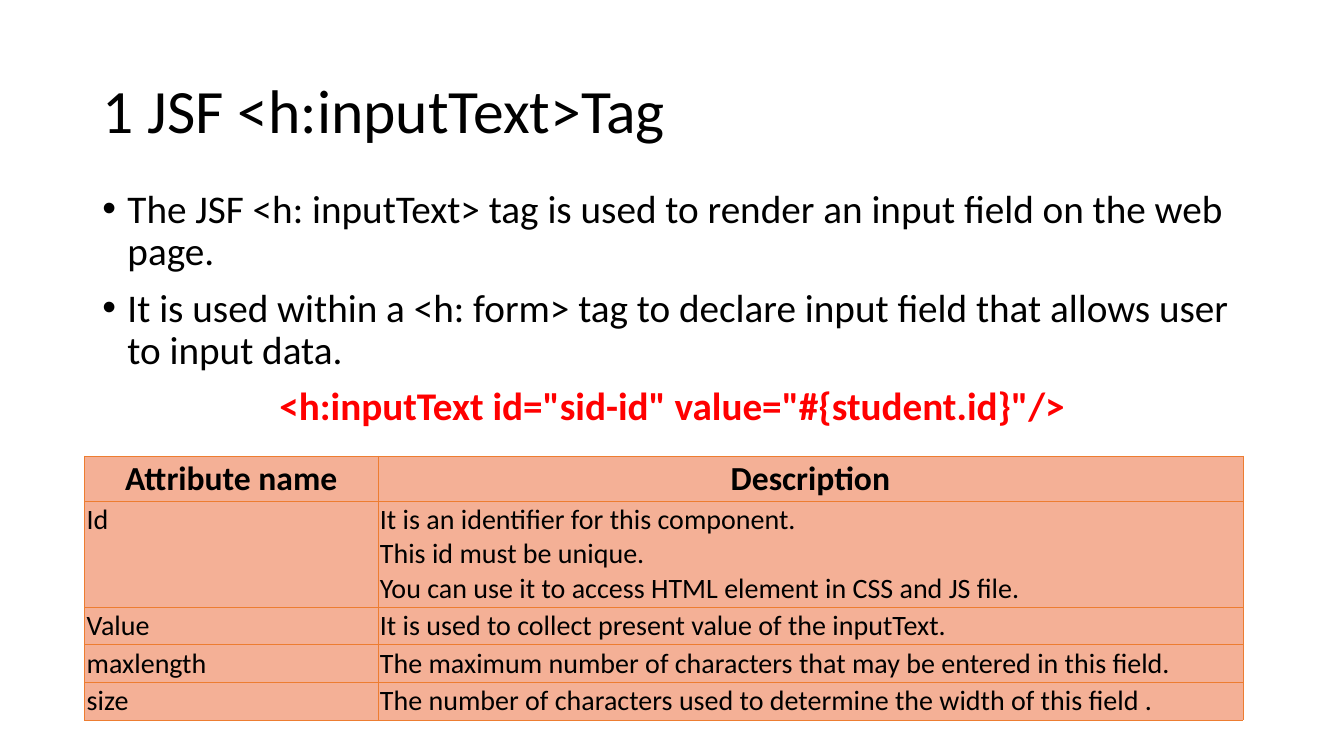
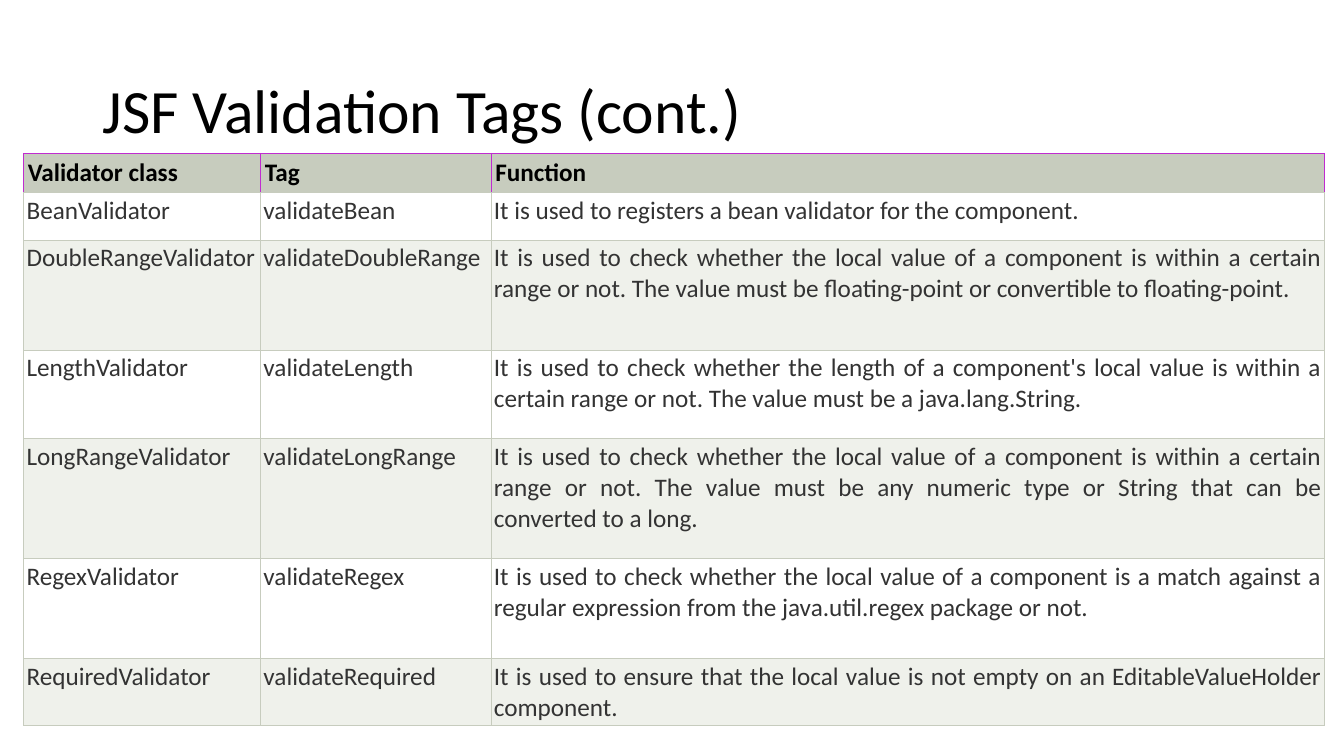
"""Build two slides on JSF input and validation tags."""
from lxml.etree import SubElement
from pptx import Presentation
from pptx.dml.color import RGBColor
from pptx.enum.text import MSO_ANCHOR, MSO_AUTO_SIZE, PP_ALIGN
from pptx.oxml.ns import qn
from pptx.util import Pt

FONT = "Calibri"
BLACK = RGBColor(0x00, 0x00, 0x00)
RED = RGBColor(0xFF, 0x00, 0x00)
CHARCOAL = RGBColor(0x33, 0x33, 0x33)
WHITE = RGBColor(0xFF, 0xFF, 0xFF)
ORANGE = RGBColor(0xED, 0x7D, 0x31)
SALMON = RGBColor(0xF4, 0xB0, 0x96)
SAGE = RGBColor(0xC7, 0xCC, 0xBE)
PALE_SAGE = RGBColor(0xEF, 0xF1, 0xEB)
MAGENTA = RGBColor(0xC0, 0x2B, 0xD0)

INPUT_TITLE = "1 JSF <h:inputText>Tag"
INPUT_POINTS = [
    "The JSF <h: inputText> tag is used to render an input field on the web page.",
    "It is used within a <h: form> tag to declare input field that allows user to input data.",
]
INPUT_EXAMPLE = '<h:inputText id="sid-id" value="#{student.id}"/>'
ATTRIBUTES = [
    ("Attribute name", "Description"),
    ("Id", "It is an identifier for this component.\nThis id must be unique.\n"
           "You can use it to access HTML element in CSS and JS file."),
    ("Value", "It is used to collect present value of the inputText."),
    ("maxlength", "The maximum number of characters that may be entered in this field."),
    ("size", "The number of characters used to determine the width of this field ."),
]

VALIDATION_TITLE = "JSF Validation Tags (cont.)"
RANGE_CHECK = ("It is used to check whether the local value of a component "
               "is within a certain range or not. ")
VALIDATORS = [
    ("Validator class", "Tag", "Function"),
    ("BeanValidator", "validateBean",
     "It is used to registers a bean validator for the component."),
    ("DoubleRangeValidator", "validateDoubleRange",
     RANGE_CHECK + "The value must be floating-point or convertible to floating-point."),
    ("LengthValidator", "validateLength",
     "It is used to check whether the length of a component's local value is within "
     "a certain range or not. The value must be a java.lang.String."),
    ("LongRangeValidator", "validateLongRange",
     RANGE_CHECK + "The value must be any numeric type or String that can be converted to a long."),
    ("RegexValidator", "validateRegex",
     "It is used to check whether the local value of a component is a match against "
     "a regular expression from the java.util.regex package or not."),
    ("RequiredValidator", "validateRequired",
     "It is used to ensure that the local value is not empty on an "
     "EditableValueHolder component."),
]

ATTRIBUTE_STYLE = dict(
    left=60.5, top=325.8, widths=[209.5, 617.8], heights=[32, 75.8, 26.7, 26.7, 26.7],
    head=dict(size=24, color=BLACK, align=PP_ALIGN.CENTER, inset=1.44,
              borders=[ORANGE] * 4),
    body=dict(size=20, color=BLACK, align=PP_ALIGN.JUSTIFY, inset=1.44,
              borders=[ORANGE] * 4),
    head_fill=SALMON, body_fills=[SALMON], line=0.5)
VALIDATOR_STYLE = dict(
    left=17, top=109.6, widths=[169.2, 164.6, 595.4],
    heights=[25.2, 34, 78.5, 63.5, 85.7, 71.3, 42.5],
    head=dict(size=18, color=BLACK, align=PP_ALIGN.LEFT, inset=3,
              borders=[MAGENTA, MAGENTA, MAGENTA, SAGE]),
    body=dict(size=18, color=CHARCOAL, align=PP_ALIGN.JUSTIFY, inset=2,
              borders=[SAGE] * 4),
    head_fill=SAGE, body_fills=[WHITE, PALE_SAGE], line=0.75)


def style_paragraph(paragraph, size, color, align, bold=False):
    paragraph.alignment = align
    for run in paragraph.runs:
        run.font.name = FONT
        run.font.size = Pt(size)
        run.font.bold = bold
        run.font.color.rgb = color


def add_titled_slide(deck, heading):
    slide = deck.slides.add_slide(deck.slide_layouts[5])
    title = slide.shapes.title
    title.left, title.top, title.width, title.height = Pt(66), Pt(28.8), Pt(828), Pt(104.4)
    frame = title.text_frame
    frame.text = heading
    frame.word_wrap = True
    frame.auto_size = MSO_AUTO_SIZE.NONE
    frame.vertical_anchor = MSO_ANCHOR.MIDDLE
    frame.paragraphs[0].line_spacing = 0.9
    style_paragraph(frame.paragraphs[0], 44, BLACK, PP_ALIGN.LEFT)
    return slide


def add_bullet(paragraph):
    properties = paragraph._p.get_or_add_pPr()
    properties.set("marL", str(Pt(18)))
    properties.set("indent", str(Pt(-18)))
    SubElement(properties, qn("a:buFont"), typeface="Arial")
    SubElement(properties, qn("a:buChar"), char="•")


def add_introduction(slide, points, example):
    frame = slide.shapes.add_textbox(Pt(66), Pt(131.8), Pt(828), Pt(187.2)).text_frame
    frame.word_wrap = True
    frame.text = "\n".join(points + [example])
    for index, paragraph in enumerate(frame.paragraphs):
        if index < len(points):
            add_bullet(paragraph)
            style_paragraph(paragraph, 28, BLACK, PP_ALIGN.LEFT)
        else:
            style_paragraph(paragraph, 28, RED, PP_ALIGN.CENTER, bold=True)
        paragraph.line_spacing = 0.9
        if index:
            paragraph.space_before = Pt(10)


def set_borders(cell, colors, width):
    properties = cell._tc.get_or_add_tcPr()
    for side, color in zip("LTRB", colors):
        properties_of_side = {"L": 0, "R": 1, "T": 2, "B": 3}[side]
        line = SubElement(properties, qn(f"a:ln{side}"), w=str(Pt(width)))
        properties.insert(properties_of_side, line)
        SubElement(SubElement(line, qn("a:solidFill")), qn("a:srgbClr"), val=str(color))


def style_cell(cell, fill, line, bold, size, color, align, inset, borders):
    set_borders(cell, borders, line)
    cell.fill.solid()
    cell.fill.fore_color.rgb = fill
    cell.margin_left = cell.margin_right = cell.margin_top = cell.margin_bottom = Pt(inset)
    for paragraph in cell.text_frame.paragraphs:
        style_paragraph(paragraph, size, color, align, bold)


def add_styled_table(slide, rows, style):
    widths, heights = style["widths"], style["heights"]
    table = slide.shapes.add_table(
        len(rows), len(widths), Pt(style["left"]), Pt(style["top"]),
        Pt(sum(widths)), Pt(sum(heights))).table
    for column, width in zip(table.columns, widths):
        column.width = Pt(width)
    fills = style["body_fills"]
    for r, (texts, height) in enumerate(zip(rows, heights)):
        table.rows[r].height = Pt(height)
        fill = fills[(r - 1) % len(fills)] if r else style["head_fill"]
        for c, text in enumerate(texts):
            cell = table.cell(r, c)
            cell.text_frame.text = text
            style_cell(cell, fill, style["line"], r == 0,
                       **style["body" if r else "head"])


def main():
    deck = Presentation()
    deck.slide_width, deck.slide_height = Pt(960), Pt(540)
    input_slide = add_titled_slide(deck, INPUT_TITLE)
    add_introduction(input_slide, INPUT_POINTS, INPUT_EXAMPLE)
    add_styled_table(input_slide, ATTRIBUTES, ATTRIBUTE_STYLE)
    validation_slide = add_titled_slide(deck, VALIDATION_TITLE)
    add_styled_table(validation_slide, VALIDATORS, VALIDATOR_STYLE)
    deck.save("out.pptx")


if __name__ == "__main__":
    main()
